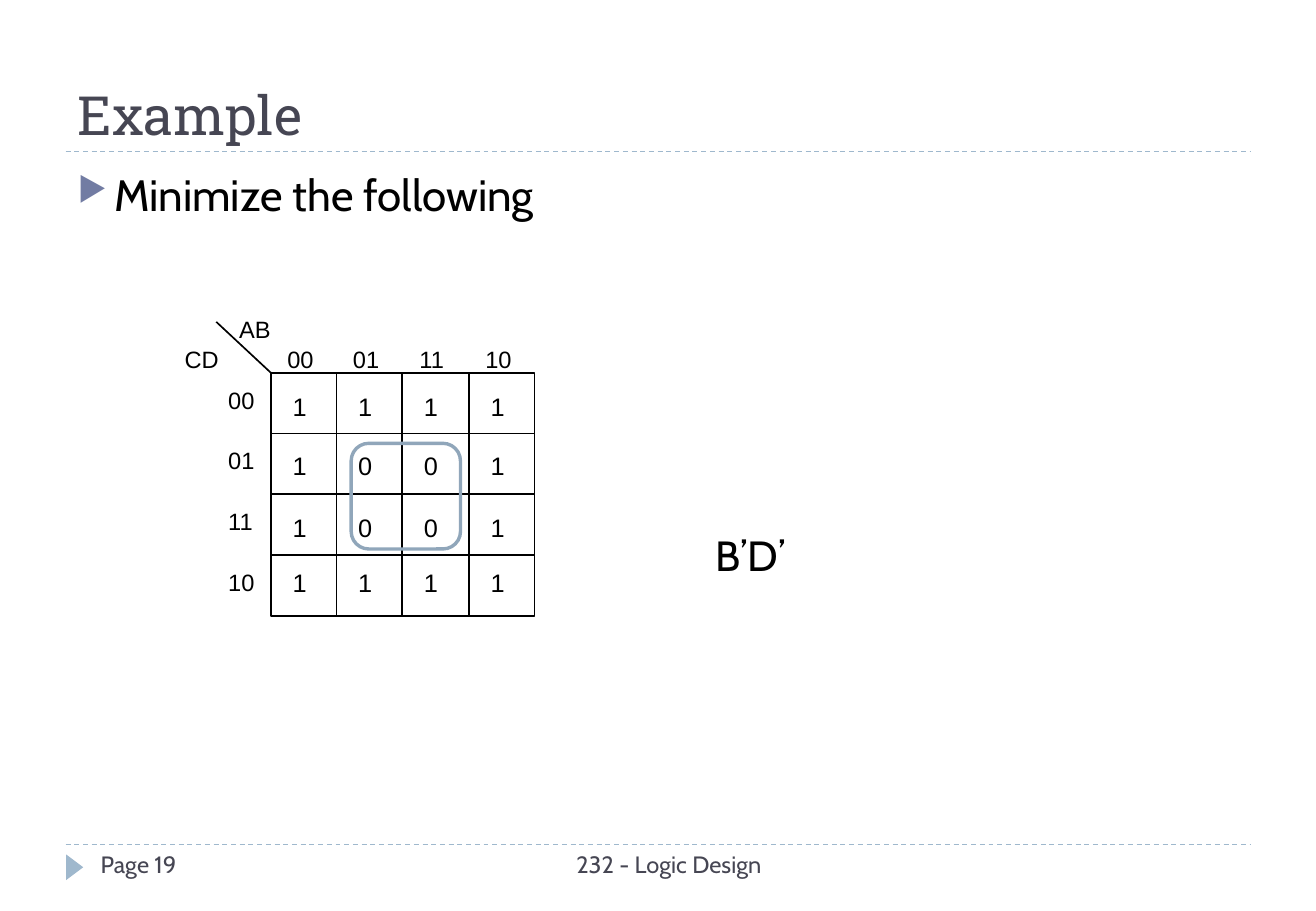
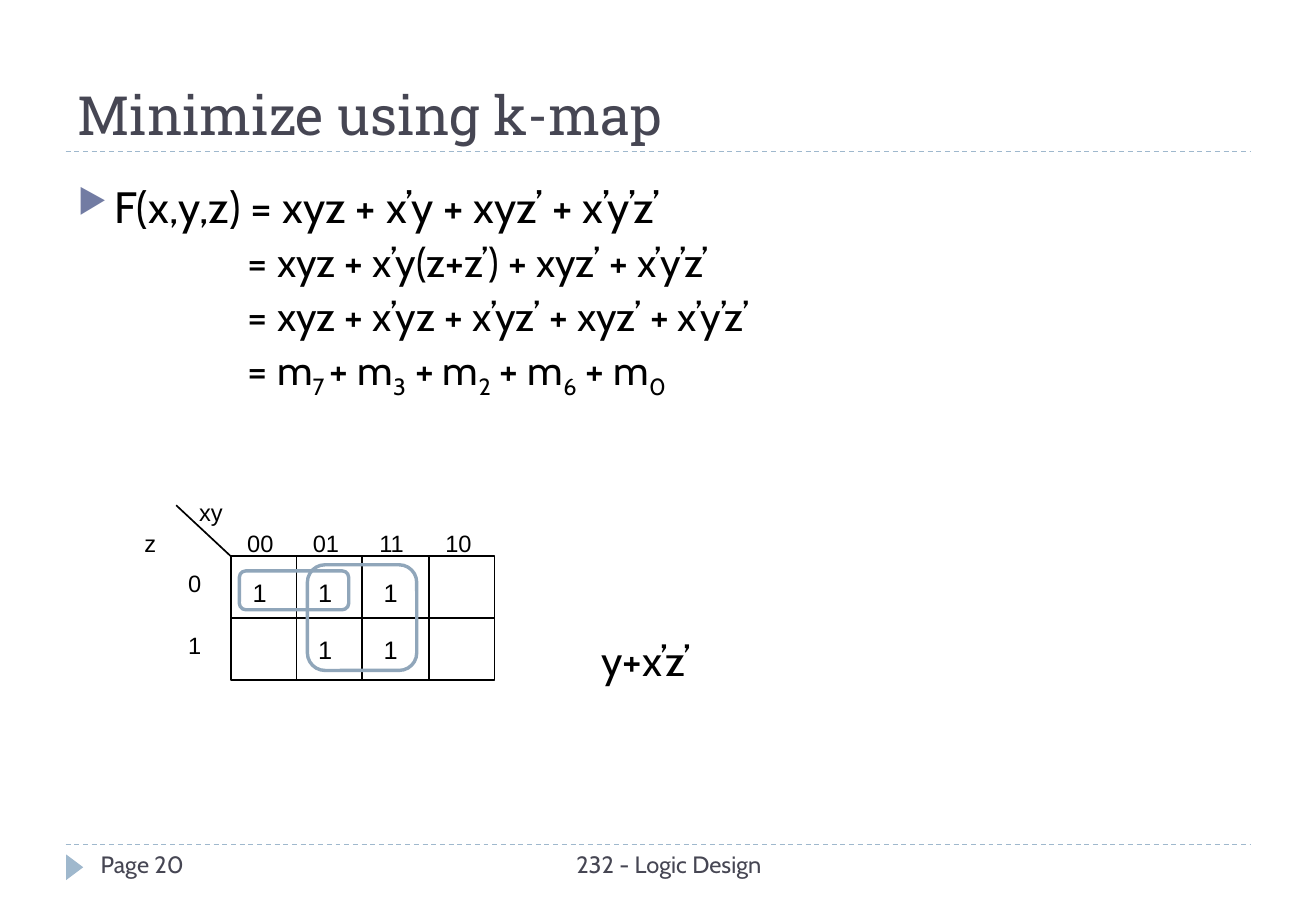
from dataclasses import dataclass
from typing import Any, NamedTuple

from lxml.etree import SubElement
from pptx import Presentation
from pptx.dml.color import RGBColor
from pptx.enum.dml import MSO_LINE
from pptx.enum.shapes import MSO_CONNECTOR, MSO_SHAPE
from pptx.enum.text import MSO_ANCHOR as Anchor, MSO_AUTO_SIZE as AutoSize, PP_ALIGN as Align
from pptx.oxml.ns import qn
from pptx.util import Pt

PX = 9144  # EMU per px, 100 px to the inch
COLORS = {
    "ink": "000000",
    "heading": "464653",
    "accent": "9FB8CD",
    "bullet": "727CA3",
    "loop": "90A6BA",
}
HEADING_FONT, BODY_FONT, MAP_FONT = "Roboto Slab", "Cabin", "Arial"
COLUMN_CODES = ("00", "01", "11", "10")
MAP_WIDTH = 217


class Box(NamedTuple):
    left: int
    top: int
    width: int
    height: int

    def emu(self) -> list[int]:
        return [value * PX for value in self]


class Para(NamedTuple):
    text: str  # parts between underscores alternate normal and subscript
    size: int
    before: int = 0
    margin: int = 0
    bullet: bool = False


@dataclass
class KMap:
    left: int
    top: int
    row_height: int
    column_name: str
    row_name: str
    row_name_width: int
    row_codes: tuple[str, ...]
    row_code_width: int
    rows: tuple[str, ...]
    digit_insets: tuple[int, ...]  # gap above the digits of each row
    loops: tuple[Box, ...]


@dataclass
class Page:
    number: int
    title: str
    body_box: Box
    body: list[Para]
    kmap: KMap
    answer: str
    answer_box: Box


def rgb(name: str) -> RGBColor:
    return RGBColor.from_string(COLORS[name])


def add_bullet(para_props: Any) -> None:
    para_props.set("indent", str(-30 * PX))
    color = SubElement(para_props, qn("a:buClr"))
    SubElement(color, qn("a:srgbClr"), val=COLORS["bullet"])
    SubElement(para_props, qn("a:buSzPct"), val="76000")
    SubElement(para_props, qn("a:buChar"), char="▶")


def write_text(shapes: Any, box: Box, text: str | list[Para], *, size: int = 14,
               font: str = BODY_FONT, color: str = "ink", align: Align = Align.LEFT,
               anchor: Anchor = Anchor.TOP, wrap: bool = True,
               spacing: float | None = None) -> None:
    frame = shapes.add_textbox(*box.emu()).text_frame
    frame.word_wrap = wrap
    frame.auto_size = AutoSize.NONE if wrap else AutoSize.SHAPE_TO_FIT_TEXT
    frame.vertical_anchor = anchor
    paras = [Para(text, size)] if isinstance(text, str) else text
    for index, para in enumerate(paras):
        line = frame.add_paragraph() if index else frame.paragraphs[0]
        line.alignment = align
        line.line_spacing = spacing
        line.space_before = Pt(para.before)
        para_props = line._p.get_or_add_pPr()
        para_props.set("marL", str(para.margin * PX))
        if para.bullet:
            add_bullet(para_props)
        for part_index, part in enumerate(para.text.split("_")):
            if not part:
                continue
            run = line.add_run()
            run.text = part
            run.font.size, run.font.name = Pt(para.size), font
            run.font.color.rgb = rgb(color)
            if part_index % 2:
                run.font._element.set("baseline", "-25000")


def draw_line(shapes: Any, x1: int, y1: int, x2: int, y2: int, *, color: str = "ink",
              width: float = 1, dashed: bool = False) -> None:
    connector = shapes.add_connector(
        MSO_CONNECTOR.STRAIGHT, x1 * PX, y1 * PX, x2 * PX, y2 * PX)
    connector.line.color.rgb = rgb(color)
    connector.line.width = Pt(width)
    if dashed:
        connector.line.dash_style = MSO_LINE.DASH
    SubElement(connector._element.spPr, qn("a:effectLst"))


def draw_shape(shapes: Any, kind: MSO_SHAPE, box: Box, *, fill: str | None = None,
               line: str | None = None, width: float = 1, rotation: int = 0) -> None:
    shape = shapes.add_shape(kind, *box.emu())
    shape.shadow.inherit = False
    shape.rotation = rotation
    if fill:
        shape.fill.solid()
        shape.fill.fore_color.rgb = rgb(fill)
    else:
        shape.fill.background()
    if line:
        shape.line.color.rgb = rgb(line)
        shape.line.width = Pt(width)
    else:
        shape.line.fill.background()


def draw_frame(shapes: Any, page: Page) -> None:
    """Rules, title and footer common to all slides."""
    for y in (695, 125):
        draw_line(shapes, 54, y, 1029, y, color="accent", width=0.75, dashed=True)
    draw_shape(shapes, MSO_SHAPE.ISOSCELES_TRIANGLE, Box(51, 707, 21, 14),
               fill="accent", rotation=90)
    write_text(shapes, Box(54, 17, 975, 108), page.title, size=32,
               font=HEADING_FONT, color="heading", anchor=Anchor.BOTTOM)
    write_text(shapes, Box(343, 695, 415, 40), "232 - Logic Design",
               color="heading", align=Align.CENTER)
    write_text(shapes, Box(73, 695, 235, 40), f"Page {page.number}", color="heading")


def draw_kmap(shapes: Any, kmap: KMap) -> None:
    left, top = kmap.left, kmap.top
    height = kmap.row_height * len(kmap.rows)
    column_lefts = [left + round(i * MAP_WIDTH / 4) for i in range(4)]
    row_tops = [top + i * kmap.row_height for i in range(len(kmap.rows))]
    grid = shapes.add_group_shape().shapes

    def label(box: Box, text: str, **style: Any) -> None:
        write_text(grid, box, text, font=MAP_FONT, spacing=0.9, **style)

    # Grid and corner
    draw_shape(grid, MSO_SHAPE.RECTANGLE, Box(left, top, MAP_WIDTH, height), line="ink")
    for y in row_tops[1:]:
        draw_line(grid, left, y, left + MAP_WIDTH, y)
    for x in column_lefts[1:]:
        draw_line(grid, x, top, x, top + height)
    draw_line(grid, left, top, left - 45, top - 42)

    # Variable names and codes
    label(Box(left - 36, top - 50, 47, 32), kmap.column_name, wrap=False)
    label(Box(left - 81, top - 25, kmap.row_name_width, 32), kmap.row_name, wrap=False)
    for x, code in zip(column_lefts, COLUMN_CODES):
        label(Box(x, top - 25, 54, 32), f"{code} ", align=Align.CENTER)
    for y, code in zip(row_tops, kmap.row_codes):
        label(Box(left - 45, y + 8, kmap.row_code_width, 32), code, wrap=False)

    # Cell values; a dot is an empty cell
    for y, inset, digits in zip(row_tops, kmap.digit_insets, kmap.rows):
        for x, digit in zip(column_lefts, digits):
            if digit != ".":
                write_text(shapes, Box(x + 8, y + inset, 33, 36), digit, size=15,
                           font=MAP_FONT, wrap=False)


def draw_page(deck: Any, page: Page) -> None:
    shapes = deck.slides.add_slide(deck.slide_layouts[6]).shapes
    draw_frame(shapes, page)
    write_text(shapes, page.body_box, page.body)
    draw_kmap(shapes, page.kmap)
    write_text(shapes, page.answer_box, page.answer, size=25, wrap=False)
    for loop in page.kmap.loops:
        draw_shape(shapes, MSO_SHAPE.ROUNDED_RECTANGLE, loop, line="loop", width=2)


def lead(text: str) -> Para:
    return Para(text, 26, before=6, margin=30, bullet=True)


def step(text: str) -> Para:
    return Para(text, 24, before=3, margin=140)


PAGES = [
    Page(
        19, "Example", Box(54, 133, 975, 537), [lead("Minimize the following")],
        KMap(223, 307, 50, "AB", "CD", 49, COLUMN_CODES, 43,
             ("1111", "1001", "1001", "1111"), (10, 9, 10, 5),
             (Box(289, 365, 90, 87),)),
        "B’D’", Box(579, 431, 82, 52),
    ),
    Page(
        20, "Minimize using k-map", Box(54, 143, 975, 207),
        [
            lead("F(x,y,z) = xyz + x’y + xyz’ + x’y’z’"),
            step("= xyz + x’y(z+z’) + xyz’ + x’y’z’"),
            step("= xyz + x’yz + x’yz’ + xyz’ + x’y’z’"),
            step("= m_7 _+ m_3_ + m_2_ + m_6_ + m_0"),
        ],
        KMap(190, 458, 51, "xy", "z", 36, ("0", "1"), 37,
             ("111.", ".11."), (12, 8),
             (Box(253, 465, 90, 87), Box(197, 470, 90, 32))),
        "y+x’z’", Box(485, 517, 104, 52),
    ),
]


def main() -> None:
    deck = Presentation()
    deck.slide_width, deck.slide_height = 1083 * PX, 750 * PX
    for page in PAGES:
        draw_page(deck, page)
    deck.save("out.pptx")


if __name__ == "__main__":
    main()
